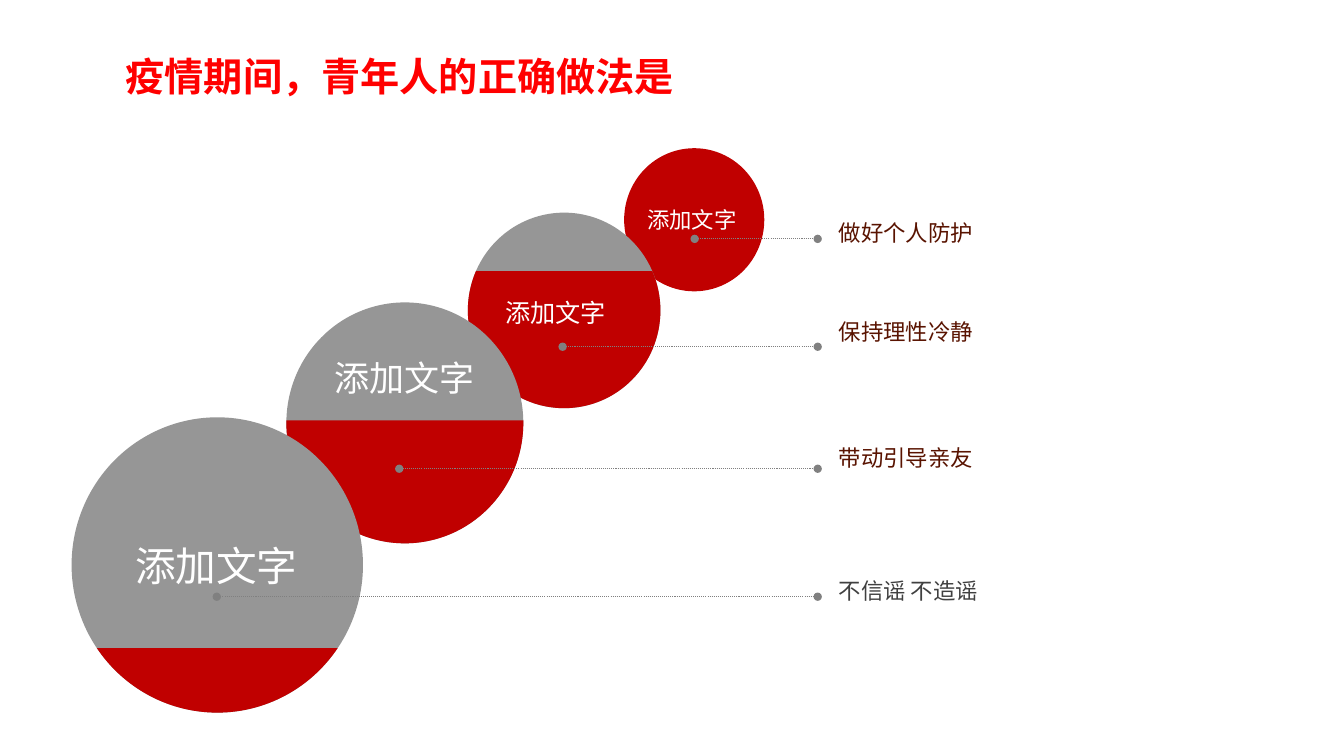
from dataclasses import dataclass
from itertools import pairwise
from math import asin, cos, pi, sin, tan

from lxml.etree import SubElement
from pptx import Presentation
from pptx.dml.color import RGBColor
from pptx.enum.dml import MSO_LINE_DASH_STYLE as Dash
from pptx.enum.shapes import MSO_CONNECTOR as Connector, MSO_SHAPE as Preset
from pptx.enum.text import MSO_ANCHOR as Anchor, MSO_AUTO_SIZE as AutoSize, PP_ALIGN as Align
from pptx.oxml.ns import qn
from pptx.util import Inches, Pt

COLORS = {
    "red": "C00000",
    "grey": "969696",
    "pointer": "808080",
    "brown": "591300",
    "charcoal": "404040",
    "white": "FFFFFF",
    "title": "FF0000",
}
FONT = "Noto Sans CJK SC"
CELL = Inches(0.1)
POINTER_END = 81.1
ADVICE_LEFT, ADVICE_WIDTH = 82.1, 44.2


@dataclass(frozen=True)
class Box:
    left: float
    top: float
    width: float
    height: float

    def emu(self) -> tuple[int, ...]:
        return tuple(cells(n) for n in (self.left, self.top, self.width, self.height))


@dataclass(frozen=True)
class Step:
    circle: Box
    red_from: float
    label: Box
    label_size: int
    pointer_left: float
    pointer_row: float
    advice: str
    advice_top: float
    advice_height: float
    advice_color: str = "brown"
    advice_align: Align = Align.JUSTIFY
    advice_spacing: float = 1.0


STEPS = [
    Step(Box(61.9, 14.7, 13.9, 14.2), 14.7, Box(63.1, 19.9, 11.1, 3.8), 16,
         68.9, 23.7, "做好个人防护", 21, 3.9, advice_spacing=1.1),
    Step(Box(46.4, 21.1, 19.1, 19.4), 26.9, Box(49, 28.9, 12.2, 4.1), 18,
         55.8, 34.4, "保持理性冷静", 31.1, 3.8),
    Step(Box(28.4, 30, 23.5, 23.9), 41.7, Box(32.1, 34.8, 16.1, 5.3), 25,
         39.6, 46.5, "带动引导亲友", 43.6, 3.8),
    Step(Box(7.1, 41.4, 28.9, 29.3), 64.3, Box(12.3, 53.1, 18.4, 5.9), 29,
         21.5, 59.2, "不信谣 不造谣", 56, 4.2, "charcoal", Align.LEFT, 1.3),
]


def cells(count: float) -> int:
    return round(count * CELL)


def rgb(name: str) -> RGBColor:
    return RGBColor.from_string(COLORS[name])


def paint(shape, color: str) -> None:
    shape.shadow.inherit = False
    shape.fill.solid()
    shape.fill.fore_color.rgb = rgb(color)
    shape.line.fill.background()


def write(frame, text: str, size: int, color: str, align: Align,
          bold: bool = False, spacing: float = 1.0) -> None:
    frame.text = text
    paragraph = frame.paragraphs[0]
    paragraph.alignment = align
    paragraph.line_spacing = spacing
    font = paragraph.font
    font.size, font.bold, font.name = Pt(size), bold, FONT
    font.color.rgb = rgb(color)
    defaults = paragraph._p.pPr.find(qn("a:defRPr"))
    SubElement(defaults, qn("a:ea")).set("typeface", FONT)


def add_textbox(slide, box: Box, wrap: bool, anchor: Anchor):
    frame = slide.shapes.add_textbox(*box.emu()).text_frame
    frame.word_wrap = wrap
    frame.vertical_anchor = anchor
    frame.auto_size = AutoSize.SHAPE_TO_FIT_TEXT
    frame.margin_left = frame.margin_right = Inches(0.11)
    return frame


def curve_segments(shape) -> None:
    outline = next(shape._element.iter(qn("a:path")))
    segments = outline.findall(qn("a:lnTo"))
    for first in range(0, len(segments), 3):
        curve = SubElement(outline, qn("a:cubicBezTo"))
        segments[first].addprevious(curve)
        for segment in segments[first:first + 3]:
            curve.append(segment[0])
            outline.remove(segment)


def add_cap(slide, circle: Box, level: float) -> None:
    radius_x, radius_y = circle.width / 2, circle.height / 2
    center_x, center_y = circle.left + radius_x, circle.top + radius_y
    start = asin((level - center_y) / radius_y)
    quarters = [a for a in (0, pi / 2, pi) if start < a < pi - start]

    def on_rim(angle: float, pull: float = 0) -> tuple[int, int]:
        return (cells(center_x + radius_x * (cos(angle) - pull * sin(angle))),
                cells(center_y + radius_y * (sin(angle) + pull * cos(angle))))

    builder = slide.shapes.build_freeform(*on_rim(start))
    for begin, end in pairwise([start, *quarters, pi - start]):
        pull = 4 / 3 * tan((end - begin) / 4)
        builder.add_line_segments(
            [on_rim(begin, pull), on_rim(end, -pull), on_rim(end)], close=False)
    builder.add_line_segments([], close=True)
    cap = builder.convert_to_shape()
    curve_segments(cap)
    paint(cap, "red")


def add_circle(slide, step: Step) -> None:
    all_red = step.red_from == step.circle.top
    disc = slide.shapes.add_shape(Preset.OVAL, *step.circle.emu())
    paint(disc, "red" if all_red else "grey")
    if not all_red:
        add_cap(slide, step.circle, step.red_from)


def add_pointer(slide, step: Step) -> None:
    row = cells(step.pointer_row)
    pointer = slide.shapes.add_connector(
        Connector.STRAIGHT, cells(step.pointer_left), row, cells(POINTER_END), row)
    pointer.line.color.rgb = rgb("pointer")
    pointer.line.width = Pt(0.75)
    pointer.line.dash_style = Dash.ROUND_DOT
    outline = pointer.line._get_or_add_ln()
    for end in ("a:headEnd", "a:tailEnd"):
        SubElement(outline, qn(end)).set("type", "oval")
    SubElement(pointer._element.spPr, qn("a:effectLst"))


def add_label(slide, step: Step) -> None:
    frame = add_textbox(slide, step.label, False, Anchor.MIDDLE)
    write(frame, "添加文字", step.label_size, "white", Align.LEFT)


def add_advice(slide, step: Step) -> None:
    box = Box(ADVICE_LEFT, step.advice_top, ADVICE_WIDTH, step.advice_height)
    frame = add_textbox(slide, box, True, Anchor.TOP)
    write(frame, step.advice, 16, step.advice_color, step.advice_align,
          spacing=step.advice_spacing)


def add_title(slide, text: str) -> None:
    title = slide.shapes.title
    title.left, title.top, title.width, title.height = Box(10, 4.7, 59.3, 5.7).emu()
    frame = title.text_frame
    frame.word_wrap = True
    frame.auto_size = AutoSize.SHAPE_TO_FIT_TEXT
    frame.vertical_anchor = Anchor.TOP
    write(frame, text, 28, "title", Align.CENTER, bold=True)


def main() -> None:
    deck = Presentation()
    deck.slide_width, deck.slide_height = Inches(13.33), Inches(7.5)
    slide = deck.slides.add_slide(deck.slide_layouts[5])
    add_title(slide, "疫情期间，青年人的正确做法是")
    for draw in (add_circle, add_label, add_pointer, add_advice):
        for step in STEPS:
            draw(slide, step)
    deck.save("out.pptx")


if __name__ == "__main__":
    main()
